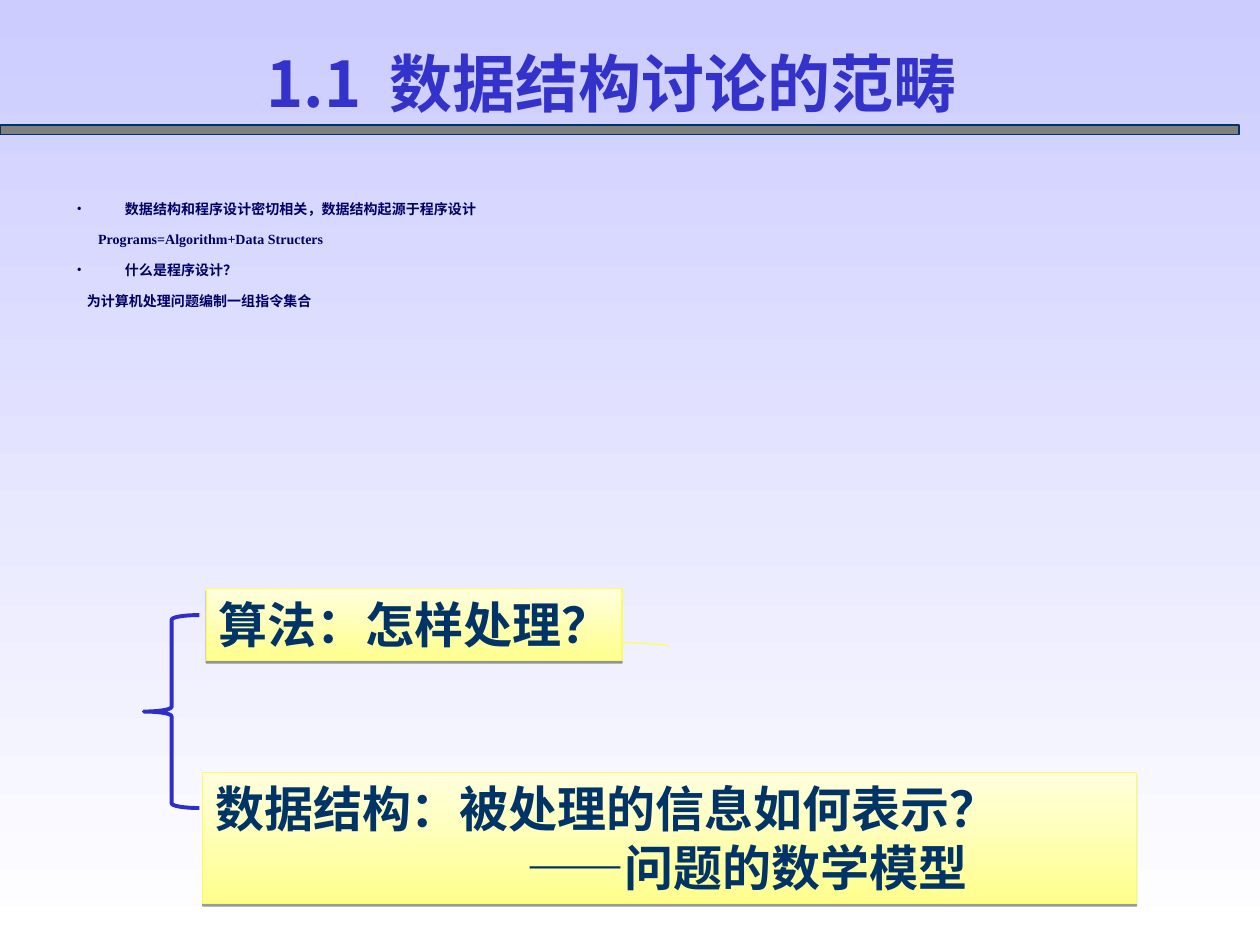
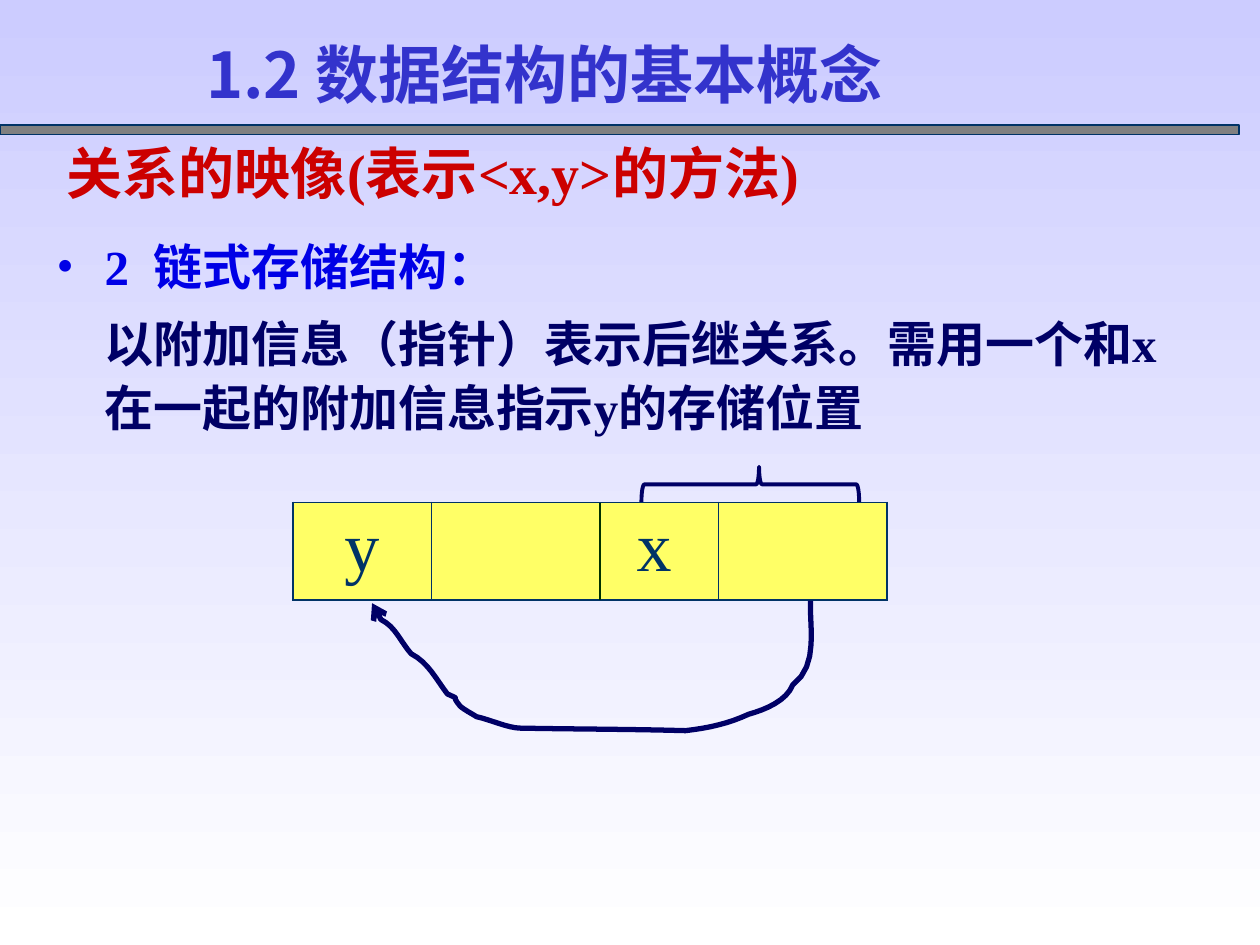
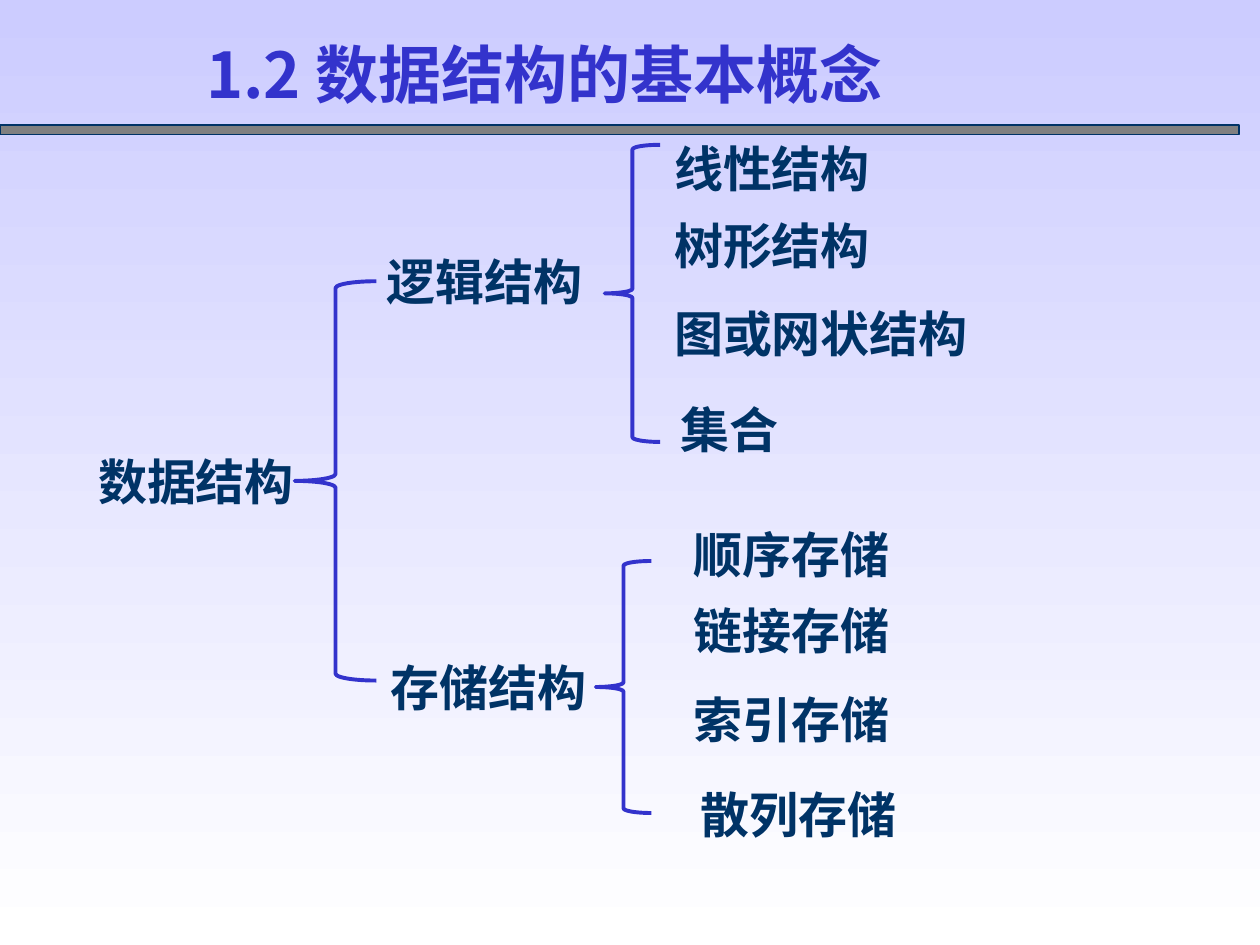
from lxml import etree
from pptx import Presentation
from pptx.dml.color import RGBColor
from pptx.enum.shapes import MSO_CONNECTOR, MSO_SHAPE
from pptx.enum.text import MSO_ANCHOR, PP_ALIGN
from pptx.oxml.ns import qn
from pptx.util import Cm, Pt

RECTANGLE, LEFT_BRACE = MSO_SHAPE.RECTANGLE, MSO_SHAPE.LEFT_BRACE
STRAIGHT = MSO_CONNECTOR.STRAIGHT
TOP, MIDDLE = MSO_ANCHOR.TOP, MSO_ANCHOR.MIDDLE
LEFT, CENTER = PP_ALIGN.LEFT, PP_ALIGN.CENTER

COLORS = {
    "sky": "CCCCFF", "white": "FFFFFF", "band": "808080", "ink": "003366",
    "title": "3333CC", "brace": "2E2ECB", "navy": "000066", "blue": "0000E6",
    "red": "CC0000", "cell": "FFFF66", "divider": "003300",
    "box_edge": "FDFD60", "box_low": "FFFF8E", "box_high": "FFFFDD", "shadow": "000000",
}
SERIF, SANS = "Times New Roman", "Noto Sans CJK SC"
INDENT = 0.97
LABEL_HEIGHT, LABEL_PADDING, CHARACTER_WIDTH = 1.45, 0.52, 0.99
LEAF_OFFSETS = [(0, 0), (0, 1.55), (0, 3.33), (0.13, 5.26)]

POINTER_START = (10.44, 1.98)
POINTER_CURVES = [
    [(10.41, 2.46), (10.62, 3.28), (10.08, 3.68)],
    [(9.96, 3.99), (9.55, 4.17), (9.19, 4.27)],
    [(8.81, 4.45), (8.38, 4.55), (7.92, 4.6)],
    [(6.83, 4.57), (5.72, 4.57), (4.6, 4.55)],
    [(4.34, 4.55), (3.96, 4.37), (3.71, 4.32)],
    [(3.58, 4.24), (3.48, 4.19), (3.38, 4.11)],
    [(3.15, 3.84), (3.43, 4.01), (3.12, 3.86)],
    [(2.9, 3.58), (2.74, 3.23), (2.39, 3.05)],
    [(2.18, 2.82), (2.08, 2.51), (1.78, 2.36)],
    [(1.65, 2.08), (1.7, 2.18), (1.6, 2.03)],
]


def rgb(name):
    """Return the named palette colour."""
    return RGBColor.from_string(COLORS[name])


def lengths(box):
    """Turn a box given in centimetres into lengths."""
    return [Cm(value) for value in box]


def child(parent, tag, **attributes):
    """Append a drawing element with its attributes."""
    return etree.SubElement(parent, qn(tag), attributes)


def set_gradient(fill, start, end, angle):
    """Fill with two colours along an angle."""
    fill.gradient()
    fill.gradient_angle = angle
    for stop, name, position in zip(fill.gradient_stops, (start, end), (0, 1)):
        stop.color.rgb = rgb(name)
        stop.position = position


def set_line(shape, color, width):
    """Give a shape a solid line."""
    shape.line.color.rgb = rgb(color)
    shape.line.width = Pt(width)


def format_para(para, size, color, font=SERIF, bold=True, align=LEFT):
    """Format every run of a paragraph."""
    para.alignment = align
    for span in para.runs:
        span.font.size = Pt(size)
        span.font.bold = bold
        span.font.name = font
        span.font.color.rgb = rgb(color)
        if font == SANS:
            child(span._r.get_or_add_rPr(), "a:ea", typeface=font)


def indent_para(para, margin, first=0, bullet_color=None):
    """Set the indents of a paragraph and its bullet."""
    properties = para._p.get_or_add_pPr()
    properties.set("marL", str(Cm(margin)))
    properties.set("indent", str(Cm(first)))
    if bullet_color:
        holder = child(properties, "a:buClr")
        child(holder, "a:srgbClr", val=COLORS[bullet_color])
        child(properties, "a:buFont", typeface=SERIF)
        child(properties, "a:buChar", char="•")


def add_text(page, box, text, size, color, font=SERIF, align=LEFT, anchor=TOP, wrap=True):
    """Add a text box and return its frame."""
    frame = page.shapes.add_textbox(*lengths(box)).text_frame
    frame.word_wrap = wrap
    frame.vertical_anchor = anchor
    frame.text = text
    for para in frame.paragraphs:
        format_para(para, size, color, font, align=align)
    return frame


def add_label(page, left, top, text):
    """Add one node label of the tree, as wide as its text."""
    width = LABEL_PADDING + CHARACTER_WIDTH * len(text)
    add_text(page, (left, top, width, LABEL_HEIGHT), text, 28, "ink", wrap=False)


def add_brace(page, box, color="title", rotation=0, tip=0.5):
    """Add an outlined brace."""
    brace = page.shapes.add_shape(LEFT_BRACE, *lengths(box))
    brace.shadow.inherit = False
    brace.fill.background()
    brace.adjustments[1] = tip
    brace.rotation = rotation
    set_line(brace, color, 2.25)


def curve_points(start, curves, steps=8):
    """Yield points along a chain of cubic curves."""
    for first, second, end in curves:
        for step in range(1, steps + 1):
            t = step / steps
            weights = ((1 - t) ** 3, 3 * t * (1 - t) ** 2, 3 * t * t * (1 - t), t ** 3)
            points = (start, first, second, end)
            yield tuple(sum(w * p[axis] for w, p in zip(weights, points)) for axis in (0, 1))
        start = end


def add_curve(page, origin, start, curves, color, width):
    """Draw an open curve relative to an origin."""
    def place(point):
        """Move a point to the origin."""
        return tuple(Cm(base + value) for base, value in zip(origin, point))

    builder = page.shapes.build_freeform(*place(start))
    builder.add_line_segments([place(p) for p in curve_points(start, curves)], close=False)
    curve = builder.convert_to_shape()
    curve.shadow.inherit = False
    curve.fill.background()
    set_line(curve, color, width)
    return curve


def add_page(deck):
    """Add a blank page with the shared background and band."""
    page = deck.slides.add_slide(deck.slide_layouts[6])
    set_gradient(page.background.fill, "sky", "white", 270)
    band = page.shapes.add_shape(RECTANGLE, *lengths((0, 2.52, 24.98, 0.2)))
    band.shadow.inherit = False
    band.fill.solid()
    band.fill.fore_color.rgb = rgb("band")
    set_line(band, "ink", 0.75)
    return page


def add_concept_page(deck):
    """Add a page headed by the section on basic concepts."""
    page = add_page(deck)
    add_text(page, (3.91, 0.59, 21.59, 3.18), "1.2 数据结构的基本概念", 36, "title", SANS)
    return page


def add_note(page, box, text, wrap=True):
    """Add a yellow box with a thin shadow below."""
    note = page.shapes.add_shape(RECTANGLE, *lengths(box))
    set_gradient(note.fill, "box_low", "box_high", 90)
    set_line(note, "box_edge", 0.75)
    effects = child(note._element.spPr, "a:effectLst")
    shadow = child(effects, "a:outerShdw", dist=str(Pt(1.6)), dir="5400000", rotWithShape="0")
    tint = child(shadow, "a:srgbClr", val=COLORS["shadow"])
    child(tint, "a:alpha", val="38000")
    frame = note.text_frame
    frame.word_wrap = wrap
    frame.vertical_anchor = TOP
    frame.text = text
    for para in frame.paragraphs:
        format_para(para, 28, "ink")
    return frame


def add_questions(page, left, top):
    """Add the two braced questions of program design."""
    add_curve(page, (left, top), (8.2, 1.07), [[(9.52, 1.07), (10.59, 1.12), (10.59, 1.17)]],
              "box_edge", 0.75)
    add_brace(page, (left, top + 0.54, 1.12, 3.89), "brace")
    add_note(page, (left + 1.26, top, 8.38, 1.45), "算法：怎样处理？", wrap=False)
    frame = add_note(page, (left + 1.19, top + 3.71, 18.82, 2.64),
                     "数据结构：被处理的信息如何表示？\n——问题的数学模型")
    indent_para(frame.paragraphs[1], 6.28)


def add_scope_page(deck):
    """Build the page on the scope of data structures."""
    page = add_page(deck)
    add_text(page, (0.9, 0.53, 22.86, 2.26), "1.1  数据结构讨论的范畴", 36, "title", SANS,
             CENTER, MIDDLE)
    points = [
        ("数据结构和程序设计密切相关，数据结构起源于程序设计", INDENT, True),
        ("Programs=Algorithm+Data Structers", 0.43, False),
        ("什么是程序设计？", INDENT, True),
        ("为计算机处理问题编制一组指令集合", 0.2, False),
    ]
    frame = add_text(page, (1.3, 3.91, 22.86, 1.19), "\n".join(p[0] for p in points), 8, "navy")
    for para, (_, margin, bulleted) in zip(frame.paragraphs, points):
        para.space_before = Pt(8)
        indent_para(para, margin, -INDENT if bulleted else 0, "navy" if bulleted else None)
    add_questions(page, 2.9, 11.86)


def add_cell_borders(cell, widths):
    """Draw left, right, top and bottom borders of a cell."""
    properties = cell._tc.get_or_add_tcPr()
    for side, width in zip("LRTB", widths):
        border = child(properties, f"a:ln{side}", w=str(Pt(width)))
        child(child(border, "a:solidFill"), "a:srgbClr", val=COLORS["ink"])


def add_memory(page, left, top):
    """Draw the linked storage cells with their pointer."""
    widths, height = (2.79, 5.79, 3.4), 1.96
    frame = page.shapes.add_table(1, 3, *lengths((left, top, sum(widths), height)))
    table = frame.table
    table.first_row = table.horz_banding = False
    borders = [(1.08, 0.45), (0.45, 0.45), (0.45, 1.08)]
    for index, text in enumerate(("y", "x", "")):
        table.columns[index].width = Cm(widths[index])
        cell = table.cell(0, index)
        add_cell_borders(cell, (*borders[index], 1.08, 1.08))
        cell.fill.solid()
        cell.fill.fore_color.rgb = rgb("cell")
        cell.text = text
        para = cell.text_frame.paragraphs[0]
        para.space_before = Pt(10)
        format_para(para, 40, "ink", bold=False, align=CENTER)
    indent_para(table.cell(0, 1).text_frame.paragraphs[0], 3.2)

    pointer = add_curve(page, (left, top), POINTER_START, POINTER_CURVES, "navy", 3)
    child(pointer.line._get_or_add_ln(), "a:tailEnd", type="arrow")
    divider = page.shapes.add_connector(
        STRAIGHT, *lengths((left + 6.2, top, left + 6.2, top + height)))
    set_line(divider, "divider", 1)
    child(divider._element.spPr, "a:effectLst")
    add_brace(page, (left + 8.87, top - 2.56, 0.71, 4.39), "navy", 90, 0.46)


def add_linked_page(deck):
    """Build the page on linked storage."""
    page = add_concept_page(deck)
    add_text(page, (1.1, 2.32, 22.86, 2.31), "关系的映像(表示<x,y>的方法)", 32, "red", anchor=MIDDLE)
    frame = add_text(
        page, (0.89, 4.52, 23.22, 4.6),
        "2  链式存储结构：\n"
        "以附加信息（指针）表示后继关系。需用一个和x在一起的附加信息指示y的存储位置", 28, "navy")
    heading, detail = frame.paragraphs
    for para in frame.paragraphs:
        para.line_spacing = 1.1
        para.space_before = Pt(7)
    heading.runs[0].font.color.rgb = rgb("blue")
    indent_para(heading, INDENT, -INDENT, "blue")
    indent_para(detail, INDENT)
    add_memory(page, 5.9, 10.13)


def add_branch(page, label, label_at, brace_box, leaves, leaves_at):
    """Draw a label, its brace and the leaves it covers."""
    add_label(page, *label_at, label)
    add_brace(page, brace_box)
    for text, (dx, dy) in zip(leaves, LEAF_OFFSETS):
        add_label(page, leaves_at[0] + dx, leaves_at[1] + dy, text)


def add_overview_page(deck):
    """Build the tree of logical and storage structures."""
    page = add_concept_page(deck)
    add_branch(page, "数据结构", (1.73, 8.97), (5.94, 5.67, 1.65, 8.05), [], (0, 0))
    add_branch(page, "逻辑结构", (7.54, 4.95), (12.19, 2.92, 1.12, 5.99),
               ["线性结构", "树形结构", "图或网状结构", "集合"], (13.34, 2.67))
    add_branch(page, "存储结构", (7.62, 13.13), (12.01, 11.31, 1.12, 5.08),
               ["顺序存储", "链接存储", "索引存储", "散列存储"], (13.74, 10.44))


def main():
    """Build and save the deck."""
    deck = Presentation()
    deck.slide_width, deck.slide_height = Cm(25.4), Cm(19.05)
    add_scope_page(deck)
    add_linked_page(deck)
    add_overview_page(deck)
    deck.save("out.pptx")


if __name__ == "__main__":
    main()
